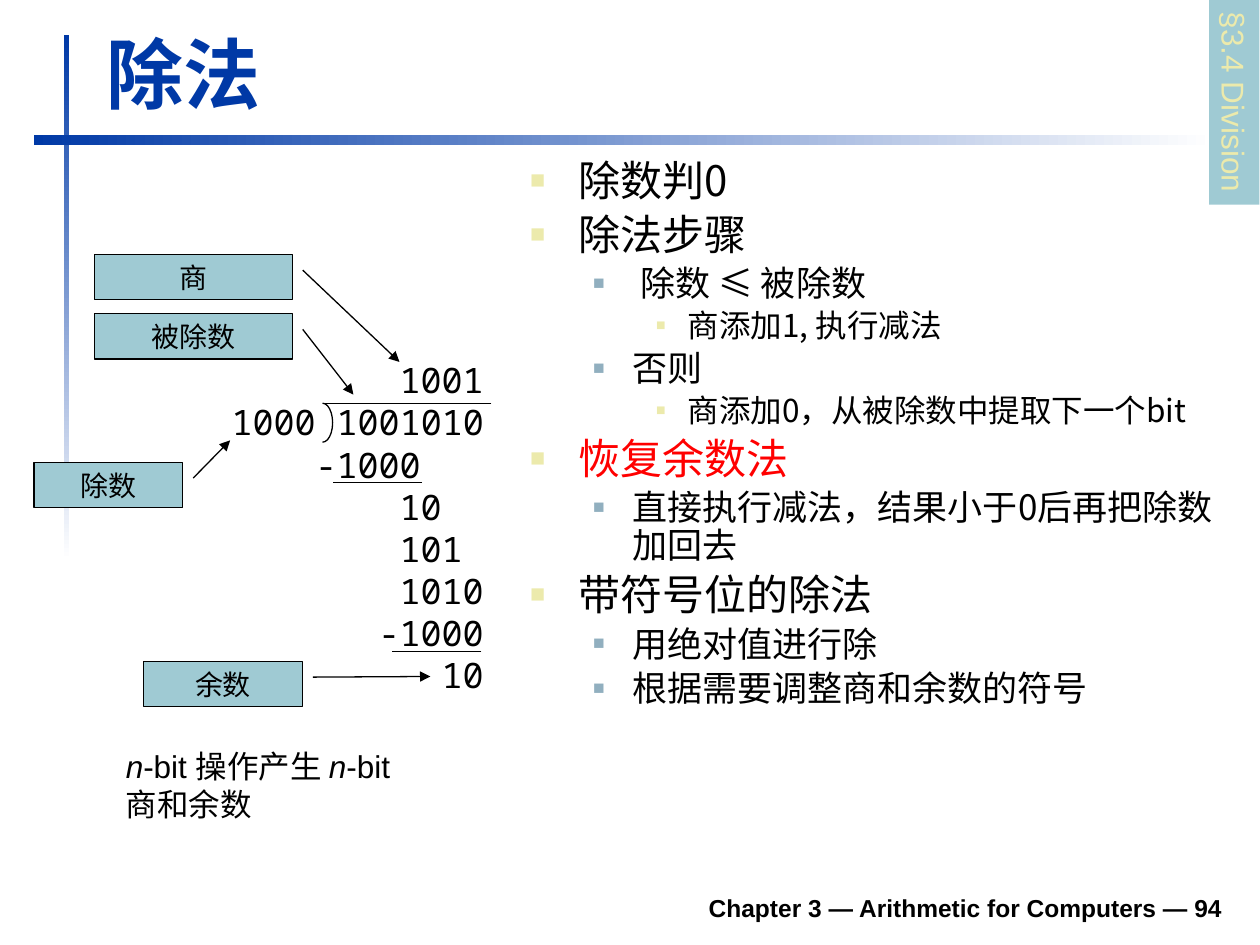
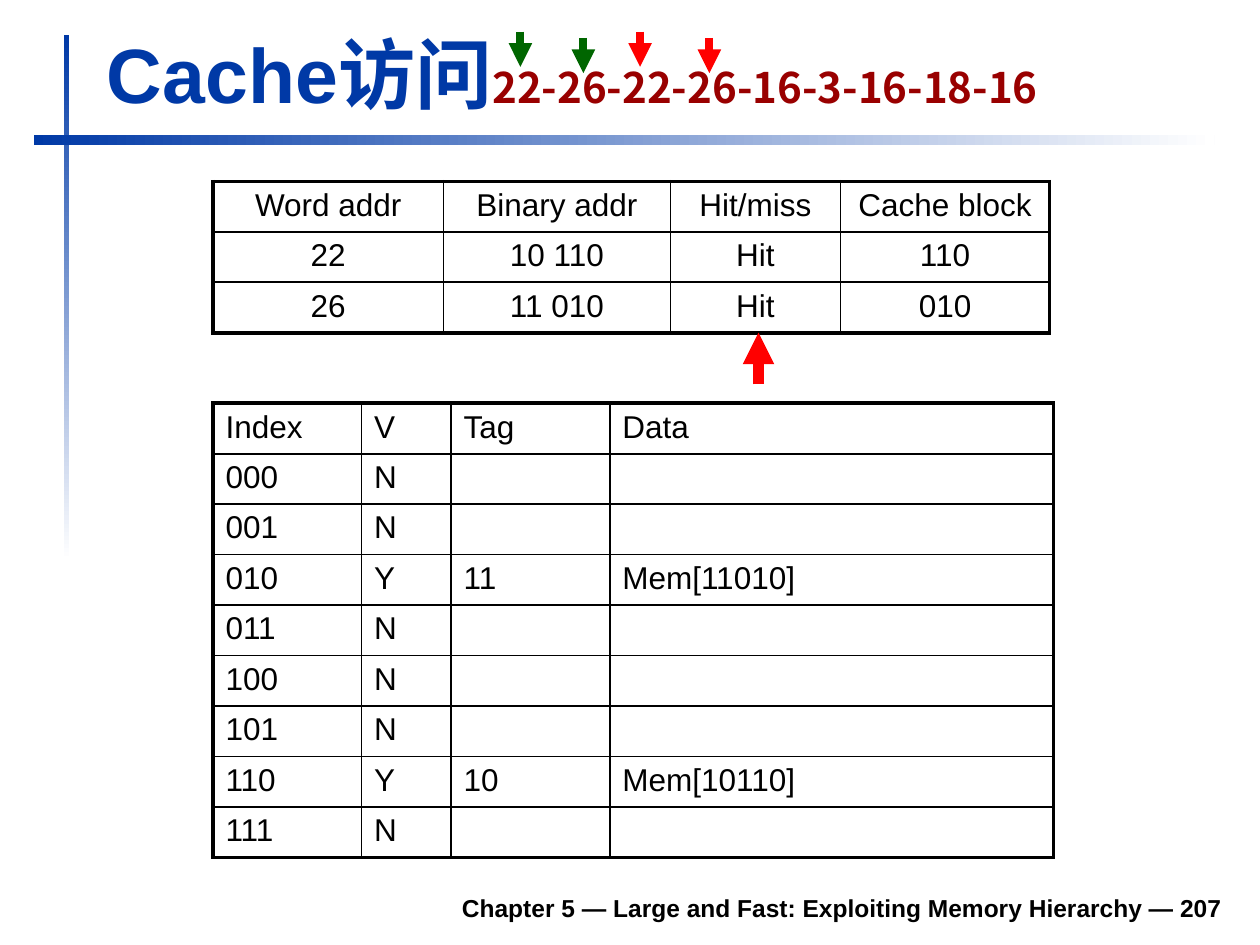
from dataclasses import dataclass

from lxml import etree
from pptx import Presentation
from pptx.dml.color import RGBColor
from pptx.enum.shapes import MSO_CONNECTOR, MSO_SHAPE
from pptx.enum.text import MSO_ANCHOR, MSO_AUTO_SIZE, PP_ALIGN
from pptx.oxml.ns import qn
from pptx.util import Inches, Pt

STRAIGHT = MSO_CONNECTOR.STRAIGHT
RECTANGLE = MSO_SHAPE.RECTANGLE
CALLOUT = MSO_SHAPE.LINE_CALLOUT_1
BRACKET = MSO_SHAPE.RIGHT_BRACKET
TOP, MIDDLE, BOTTOM = MSO_ANCHOR.TOP, MSO_ANCHOR.MIDDLE, MSO_ANCHOR.BOTTOM
LEFT, CENTER, RIGHT = PP_ALIGN.LEFT, PP_ALIGN.CENTER, PP_ALIGN.RIGHT
GROW = MSO_AUTO_SIZE.SHAPE_TO_FIT_TEXT


@dataclass(frozen=True)
class Theme:
    blue: str = "0039A6"
    white: str = "FFFFFF"
    black: str = "000000"
    teal: str = "9FCAD3"
    cream: str = "ECEAAC"
    slate: str = "91AFBF"
    red: str = "FF0000"
    green: str = "006600"
    maroon: str = "990000"
    latin: str = "Arial"
    chinese: str = "Noto Sans CJK SC"
    mono: str = "Noto Sans Mono"
    title_size: int = 44
    sequence_size: int = 24
    digit_size: int = 20
    text_size: int = 18
    callout_size: int = 16
    footer_size: int = 14
    thin: float = 0.75
    grid: float = 1
    rule: float = 1.5
    frame: float = 2.25


THEME = Theme()

BULLETS = [
    (0.38, -0.38, THEME.cream, 60, 24),
    (0.81, -0.31, THEME.slate, 55, 20),
    (1.25, -0.25, THEME.cream, 50, 18),
]

DIVISION_STEPS = [
    (0, "除数判0", THEME.black),
    (0, "除法步骤", THEME.black),
    (1, " 除数 ≤ 被除数", THEME.black),
    (2, "商添加1, 执行减法", THEME.black),
    (1, "否则", THEME.black),
    (2, "商添加0，从被除数中提取下一个bit", THEME.black),
    (0, "恢复余数法", THEME.red),
    (1, "直接执行减法，结果小于0后再把除数加回去", THEME.black),
    (0, "带符号位的除法", THEME.black),
    (1, "用绝对值进行除", THEME.black),
    (1, "根据需要调整商和余数的符号", THEME.black),
]

LONG_DIVISION = [
    (8, "1001"), (0, "1000 1001010"), (4, "-1000"), (8, "10"),
    (8, "101"), (8, "1010"), (7, "-1000"), (10, "10"),
]

CALLOUTS = [
    ("商", 0.75, 2.02, 1.57, (0.346, 1.053, 2.37, 1.542)),
    ("被除数", 0.75, 2.49, 1.57, (0.346, 1.053, 1.784, 1.309)),
    ("余数", 1.14, 5.25, 1.26, (0.346, 1.066, 0.332, 1.807)),
    ("除数", 0.27, 3.67, 1.18, (0.346, 1.071, -0.486, 1.319)),
]

ACCESSES = [
    ["Word addr", "Binary addr", "Hit/miss", "Cache block"],
    ["22", "10 110", "Hit", "110"],
    ["26", "11 010", "Hit", "010"],
]

CACHED = {"010": ("Y", "11", "Mem[11010]"), "110": ("Y", "10", "Mem[10110]")}


def color(value):
    return RGBColor.from_string(value)


def style(font, size, name=THEME.latin, fill=THEME.black, bold=False, italic=False):
    font.size, font.bold, font.italic = Pt(size), bold, italic
    font.color.rgb = color(fill)
    font.name = name
    east_asian = etree.Element(qn("a:ea"), typeface=THEME.chinese)
    font._element.find(qn("a:latin")).addnext(east_asian)


def add_box(slide, left, top, width, height, anchor=TOP, wrap=True):
    shape = slide.shapes.add_textbox(*map(Inches, (left, top, width, height)))
    frame = shape.text_frame
    frame.word_wrap = wrap
    frame.vertical_anchor = anchor
    return frame


def add_runs(paragraph, runs):
    for text, options in runs:
        run = paragraph.add_run()
        run.text = text
        style(run.font, **options)


def next_paragraph(frame, index):
    return frame.add_paragraph() if index else frame.paragraphs[0]


def add_panel(slide, kind, left, top, width, height, fill=None, line=None):
    shape = slide.shapes.add_shape(kind, *map(Inches, (left, top, width, height)))
    shape.shadow.inherit = False
    if fill:
        shape.fill.solid()
        shape.fill.fore_color.rgb = color(fill)
    else:
        shape.fill.background()
    if line:
        shape.line.color.rgb = color(line)
        shape.line.width = Pt(THEME.thin)
    else:
        shape.line.fill.background()
    return shape


def add_gradient_bar(slide, left, top, width, height, angle):
    bar = add_panel(slide, RECTANGLE, left, top, width, height)
    bar.fill.gradient()
    bar.fill.gradient_angle = angle
    for stop, value in zip(bar.fill.gradient_stops, (THEME.blue, THEME.white)):
        stop.color.rgb = color(value)


def point_line(shape):
    outline = shape._element.spPr.find(qn("a:ln"))
    etree.SubElement(outline, qn("a:tailEnd"), type="triangle")


def add_line(slide, start, end, fill=THEME.black, width=THEME.thin, arrow=False):
    line = slide.shapes.add_connector(STRAIGHT, *map(Inches, (*start, *end)))
    line.line.color.rgb = color(fill)
    line.line.width = Pt(width)
    if arrow:
        point_line(line)
    etree.SubElement(line._element.spPr, qn("a:effectLst"))


def add_callout(slide, text, left, top, width, pointer):
    shape = add_panel(slide, CALLOUT, left, top, width, 0.36, THEME.teal, THEME.black)
    for index, value in enumerate(pointer):
        shape.adjustments[index] = value
    point_line(shape)
    shape.text_frame.vertical_anchor = MIDDLE
    paragraph = shape.text_frame.paragraphs[0]
    paragraph.text = text
    paragraph.alignment = CENTER
    style(paragraph.font, THEME.callout_size)


def add_bullets(slide, items):
    frame = add_box(slide, 4.11, 1.22, 5.69, 5.59)
    for index, (level, text, fill) in enumerate(items):
        margin, indent, bullet_fill, percent, size = BULLETS[level]
        paragraph = next_paragraph(frame, index)
        paragraph.text = text
        paragraph.level = level
        paragraph.line_spacing = Pt(size * 1.08)
        if index:
            paragraph.space_before = Pt(size * 0.2)
        properties = paragraph._p.get_or_add_pPr()
        properties.set("marL", str(Inches(margin)))
        properties.set("indent", str(Inches(indent)))
        bullet_color = etree.SubElement(properties, qn("a:buClr"))
        etree.SubElement(bullet_color, qn("a:srgbClr"), val=bullet_fill)
        etree.SubElement(properties, qn("a:buSzPct"), val=str(percent * 1000))
        etree.SubElement(properties, qn("a:buFont"), typeface=THEME.latin)
        etree.SubElement(properties, qn("a:buChar"), char="■")
        style(paragraph.font, size, THEME.chinese, fill)


def add_long_division(slide, rows):
    frame = add_box(slide, 1.74, 2.8, 2.5, 2.77)
    digit_width = Pt(THEME.digit_size * 0.6)
    for index, (column, digits) in enumerate(rows):
        paragraph = next_paragraph(frame, index)
        paragraph.text = digits
        paragraph.line_spacing = Pt(THEME.digit_size * 1.2)
        paragraph._p.get_or_add_pPr().set("marL", str(column * digit_width))
        style(paragraph.font, THEME.digit_size, THEME.mono)
    add_line(slide, (3.9, 3.2), (2.56, 3.2))
    add_line(slide, (3.35, 3.83), (2.64, 3.83))
    add_line(slide, (3.82, 5.17), (3.11, 5.17))
    bracket = add_panel(slide, BRACKET, 2.56, 3.2, 0.08, 0.31, line=THEME.black)
    bracket.adjustments[0] = 0.31 / 0.08 / 2


def set_border(cell, side, width):
    properties = cell._tc.get_or_add_tcPr()
    line = etree.SubElement(properties, qn(f"a:ln{side}"), w=str(Pt(width)))
    fill = etree.SubElement(line, qn("a:solidFill"))
    etree.SubElement(fill, qn("a:srgbClr"), val=THEME.black)


def add_grid(slide, left, top, widths, rows, alignment, row_rule):
    row_height = 0.4
    table = slide.shapes.add_table(
        len(rows), len(widths), Inches(left), Inches(top),
        Inches(sum(widths)), Inches(row_height * len(rows))).table
    table.first_row = table.horz_banding = False
    for column, width in zip(table.columns, widths):
        column.width = Inches(width)
    vertical = [THEME.frame] + [THEME.grid] * (len(widths) - 1) + [THEME.frame]
    horizontal = [THEME.frame, THEME.rule] + [row_rule] * (len(rows) - 2) + [THEME.frame]
    for row, texts in enumerate(rows):
        table.rows[row].height = Inches(row_height)
        for column, text in enumerate(texts):
            cell = table.cell(row, column)
            set_border(cell, "L", vertical[column])
            set_border(cell, "R", vertical[column + 1])
            set_border(cell, "T", horizontal[row])
            set_border(cell, "B", horizontal[row + 1])
            cell.fill.background()
            paragraph = cell.text_frame.paragraphs[0]
            paragraph.text = text
            paragraph.alignment = alignment
            style(paragraph.font, THEME.text_size)


def add_base_slide(presentation, title_runs, footer):
    slide = presentation.slides.add_slide(presentation.slide_layouts[6])
    add_gradient_bar(slide, 0.51, 0.28, 0.04, 4.17, 270)
    add_gradient_bar(slide, 0.27, 1.07, 9.37, 0.08, 0)
    paragraph = add_box(slide, 1.85, 6.98, 7.95, 0.39, BOTTOM).paragraphs[0]
    paragraph.text = footer
    paragraph.alignment = RIGHT
    style(paragraph.font, THEME.footer_size, bold=True)
    title = add_box(slide, 0.75, 0.16, 9.03, 0.83, BOTTOM)
    title.auto_size = GROW
    add_runs(title.paragraphs[0], title_runs)
    return slide


def build_division(presentation):
    heading = dict(size=THEME.title_size, fill=THEME.blue, bold=True)
    slide = add_base_slide(presentation, [("除法", heading)],
                           "Chapter 3 — Arithmetic for Computers — 94")
    add_bullets(slide, DIVISION_STEPS)
    add_long_division(slide, LONG_DIVISION)
    for callout in CALLOUTS:
        add_callout(slide, *callout)
    plain = dict(size=THEME.text_size)
    slanted = dict(plain, italic=True)
    note = add_box(slide, 0.9, 5.88, 2.33, 0.71).paragraphs[0]
    add_runs(note, [("n", slanted), ("-bit 操作产生 ", plain), ("n", slanted), ("-bit", plain)])
    note.add_line_break()
    add_runs(note, [("商和余数", plain)])
    tab = add_panel(slide, RECTANGLE, 8.98, 0.61, 1.63, 0.4, THEME.teal)
    tab.rotation = 90
    tab.text_frame.word_wrap = False
    label = tab.text_frame.paragraphs[0]
    label.text = "§3.4 Division"
    label.alignment = LEFT
    style(label.font, THEME.text_size, fill=THEME.cream)


def build_cache_access(presentation):
    heading = dict(size=THEME.title_size, fill=THEME.blue, bold=True)
    sequence = dict(size=THEME.sequence_size, name=THEME.chinese, fill=THEME.maroon, bold=True)
    slide = add_base_slide(
        presentation,
        [("Cache访问", heading), ("22-26-22-26-16-3-16-18-16", sequence)],
        "Chapter 5 — Large and Fast: Exploiting Memory Hierarchy — 207")
    indexes = [f"{number:03b}" for number in range(8)]
    blocks = [["Index", "V", "Tag", "Data"]]
    blocks += [[index, *CACHED.get(index, ("N", "", ""))] for index in indexes]
    add_grid(slide, 1.69, 3.2, (1.18, 0.71, 1.26, 3.52), blocks, LEFT, THEME.grid)
    add_grid(slide, 1.69, 1.44, (1.83, 1.8, 1.35, 1.66), ACCESSES, CENTER, THEME.rule)
    add_line(slide, (6.02, 3.05), (6.02, 2.64), THEME.red, 6, arrow=True)
    markers = [(4.13, 0.25, THEME.green), (4.63, 0.3, THEME.green),
               (5.08, 0.25, THEME.red), (5.63, 0.3, THEME.red)]
    for x, y, fill in markers:
        add_line(slide, (x, y), (x, y + 0.28), fill, 4.5, arrow=True)


def main():
    presentation = Presentation()
    presentation.slide_width, presentation.slide_height = Inches(10), Inches(7.5)
    build_division(presentation)
    build_cache_access(presentation)
    presentation.save("out.pptx")


if __name__ == "__main__":
    main()
